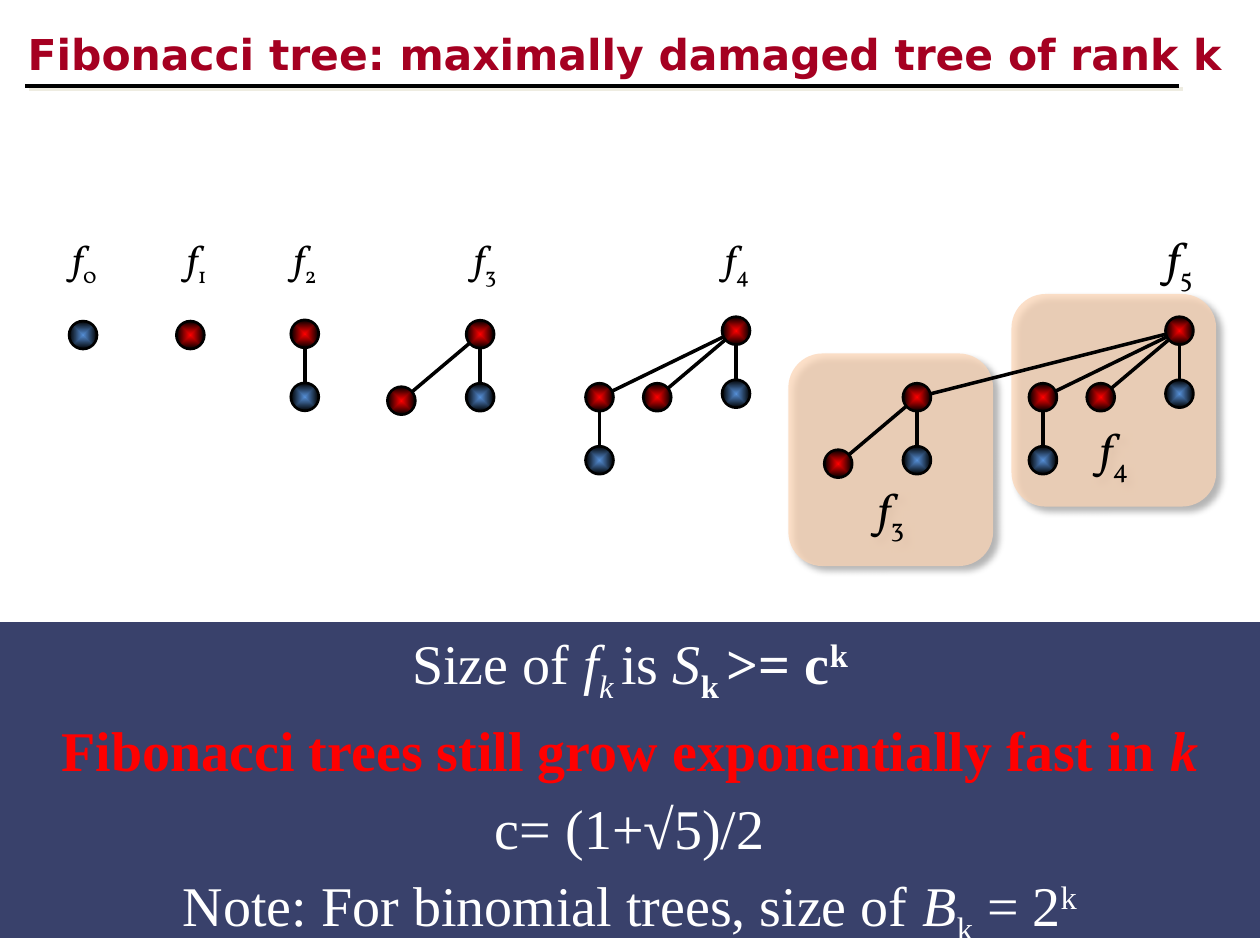
"""Build the slide on Fibonacci trees and their exponential growth."""
from lxml import etree
from pptx import Presentation
from pptx.dml.color import RGBColor
from pptx.enum.shapes import MSO_CONNECTOR, MSO_SHAPE
from pptx.enum.text import MSO_ANCHOR, MSO_AUTO_SIZE, PP_ALIGN
from pptx.oxml.ns import qn
from pptx.util import Pt

STRAIGHT = MSO_CONNECTOR.STRAIGHT
OVAL, RECTANGLE, ROUNDED = MSO_SHAPE.OVAL, MSO_SHAPE.RECTANGLE, MSO_SHAPE.ROUNDED_RECTANGLE
TOP, CENTER, LEFT = MSO_ANCHOR.TOP, PP_ALIGN.CENTER, PP_ALIGN.LEFT
NO_RESIZE = MSO_AUTO_SIZE.NONE

BLACK = RGBColor(0x00, 0x00, 0x00)
WHITE = RGBColor(0xFF, 0xFF, 0xFF)
RED = RGBColor(0xFF, 0x00, 0x00)
BLUE = RGBColor(0x55, 0x8E, 0xD5)
CRIMSON = RGBColor(0xA5, 0x00, 0x21)
PEACH = RGBColor(0xFC, 0xD5, 0xB5)
CREAM = RGBColor(0xEE, 0xEC, 0xE1)
NAVY = RGBColor(0x39, 0x41, 0x6B)

NODE_SIZE = 16
CHILD_OFFSETS = [(0, 36), (-45, 38), (-78, 38), (-150, 38)]
SUB, SUPER = -25000, 30000


def add_run(paragraph, text, font_name, size, color, italic=False, bold=False, baseline=0):
    run = paragraph.add_run()
    run.text = text
    run.font.name = font_name
    run.font.size = Pt(size)
    run.font.color.rgb = color
    run.font.italic = italic
    run.font.bold = bold
    if baseline:
        run._r.get_or_add_rPr().set("baseline", str(baseline))
    return run


def draw_tree(shapes, rank, x, y):
    for child_rank in reversed(range(rank - 1)):
        dx, dy = CHILD_OFFSETS[child_rank]
        edge = shapes.add_connector(STRAIGHT, Pt(x + dx), Pt(y + dy), Pt(x), Pt(y))
        edge.line.color.rgb = BLACK
        edge.line.width = Pt(2)
        etree.SubElement(edge._element.spPr, qn("a:effectLst"))
        draw_tree(shapes, child_rank, x + dx, y + dy)
    node = shapes.add_shape(
        OVAL, Pt(x - NODE_SIZE / 2), Pt(y - NODE_SIZE / 2), Pt(NODE_SIZE), Pt(NODE_SIZE))
    node.shadow.inherit = False
    node.line.color.rgb = BLACK
    node.line.width = Pt(1.5)
    node.fill.gradient()
    center_stop, rim_stop = node.fill.gradient_stops
    center_stop.color.rgb = BLUE if rank == 0 else RED
    center_stop.position = 0
    rim_stop.color.rgb = BLACK
    rim_stop.position = 1
    gradient = node._element.spPr.find(qn("a:gradFill"))
    gradient.remove(gradient.find(qn("a:lin")))
    radial = etree.SubElement(gradient, qn("a:path"), {"path": "shape"})
    etree.SubElement(radial, qn("a:fillToRect"), dict.fromkeys("ltrb", "50000"))


prs = Presentation()
prs.slide_width, prs.slide_height = Pt(720), Pt(540)
slide = prs.slides.add_slide(prs.slide_layouts[5])
shapes = slide.shapes

title = shapes.title
title.left, title.top, title.width, title.height = Pt(8.64), Pt(12.24), Pt(700), Pt(48)
title.text_frame.vertical_anchor = TOP
title.text_frame.auto_size = NO_RESIZE
heading = title.text_frame.paragraphs[0]
heading.alignment = LEFT
heading_run = add_run(
    heading, "Fibonacci tree: maximally damaged tree of rank k",
    "DejaVu Sans", 24.3, CRIMSON, bold=True)
heading_effects = etree.Element(qn("a:effectLst"))
heading_run._r.rPr.find(qn("a:solidFill")).addnext(heading_effects)

title_rule = shapes.add_connector(STRAIGHT, Pt(14.4), Pt(49), Pt(674), Pt(49))
title_rule.line.color.rgb = BLACK
title_rule.line.width = Pt(2.25)
rule_effects = etree.SubElement(title_rule._element.spPr, qn("a:effectLst"))
shadows = [(heading_effects, CREAM, 100, 0, 2.8), (rule_effects, CREAM, 100, 0, 2.8)]

for rank, left, top in [(3, 450.5, 202), (4, 578, 168)]:
    subtree = shapes.add_shape(ROUNDED, Pt(left), Pt(top), Pt(117), Pt(121.5))
    subtree.shadow.inherit = False
    subtree.line.fill.background()
    subtree.fill.solid()
    subtree.fill.fore_color.rgb = PEACH
    peach = subtree._element.spPr.find(qn("a:solidFill"))[0]
    etree.SubElement(peach, qn("a:alpha"), {"val": "73000"})
    shadows.append((subtree._element.spPr.find(qn("a:effectLst")), BLACK, 40, 4, 4))
    frame = subtree.text_frame
    frame.vertical_anchor = TOP
    frame.margin_top = Pt(67)
    frame.paragraphs[0].alignment = CENTER
    add_run(frame.paragraphs[0], "f", "Vollkorn", 26, BLACK, italic=True)
    add_run(frame.paragraphs[0], str(rank), "Vollkorn", 26, BLACK, baseline=SUB)

for effects, color, alpha, blur, distance in shadows:
    shadow = etree.SubElement(effects, qn("a:outerShdw"), {
        "blurRad": str(Pt(blur)), "dist": str(Pt(distance)), "dir": "2700000",
        "algn": "tl", "rotWithShape": "0"})
    shade = etree.SubElement(shadow, qn("a:srgbClr"), {"val": str(color)})
    etree.SubElement(shade, qn("a:alpha"), {"val": str(alpha * 1000)})

trees = [
    (47.5, 191.5, 34, 131, 22),
    (108.8, 191.5, 99.5, 131, 22),
    (174.2, 190.8, 160.5, 131, 22),
    (274.4, 191, 263.5, 131, 22),
    (420.6, 189, 407, 131, 22),
    (674, 189, 659.5, 128, 26),
]
for rank, (root_x, root_y, label_left, label_top, label_size) in enumerate(trees):
    draw_tree(shapes, rank, root_x, root_y)
    label = shapes.add_textbox(
        Pt(label_left), Pt(label_top), Pt(label_size * 1.9), Pt(label_size * 1.5))
    label.text_frame.word_wrap = True
    name = label.text_frame.paragraphs[0]
    add_run(name, "f", "Vollkorn", label_size, BLACK, italic=True)
    add_run(name, str(rank), "Vollkorn", label_size, BLACK, baseline=SUB)

conclusion = shapes.add_shape(RECTANGLE, Pt(0), Pt(355.5), Pt(720), Pt(180.5))
conclusion.shadow.inherit = False
conclusion.fill.solid()
conclusion.fill.fore_color.rgb = NAVY
conclusion.line.fill.background()
conclusion_frame = conclusion.text_frame
conclusion_frame.word_wrap = True
conclusion_frame.vertical_anchor = TOP

statements = [
    (WHITE, [("Size of ", {}), ("f", {"italic": True}),
             ("k ", {"italic": True, "baseline": SUB}), ("is ", {}),
             ("S", {"italic": True}), ("k ", {"bold": True, "baseline": SUB}),
             (">= c", {"bold": True}), ("k", {"bold": True, "baseline": SUPER})]),
    (RED, [("Fibonacci trees still grow exponentially fast in ", {"bold": True}),
           ("k", {"bold": True, "italic": True})]),
    (WHITE, [("c= (1+√5)/2", {})]),
    (WHITE, [("Note: For binomial trees, size of ", {}), ("B", {"italic": True}),
             ("k", {"baseline": SUB}), (" = 2", {}), ("k", {"baseline": SUPER})]),
]
for index, (color, parts) in enumerate(statements):
    statement = conclusion_frame.add_paragraph() if index else conclusion_frame.paragraphs[0]
    statement.alignment = CENTER
    statement.space_before = Pt(6 if index else 0)
    for text, style in parts:
        add_run(statement, text, "Times New Roman", 32, color, **style)

prs.save("out.pptx")
